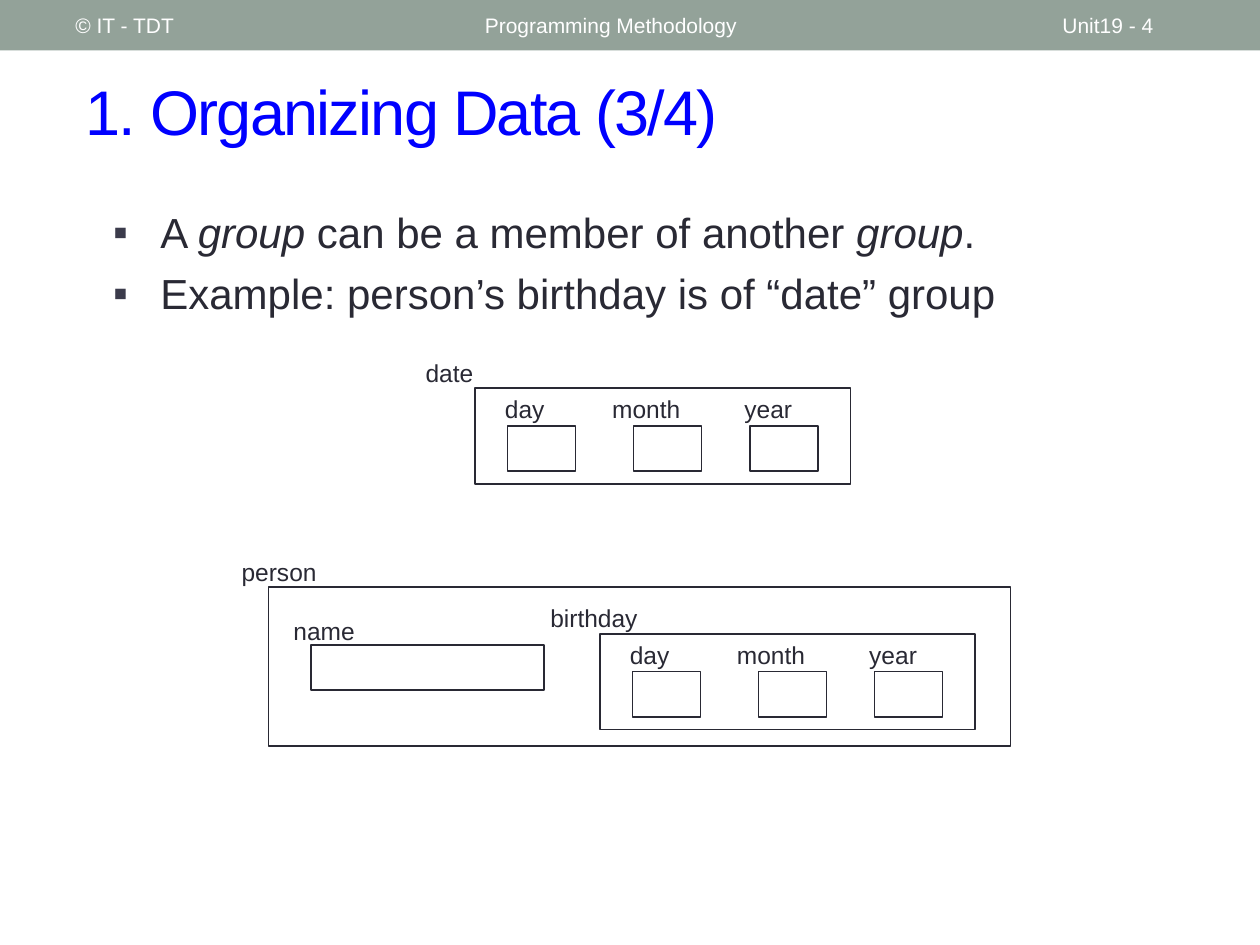
from lxml import etree
from pptx import Presentation
from pptx.dml.color import RGBColor
from pptx.enum import shapes, text
from pptx.oxml.ns import qn
from pptx.util import Pt

FONT = "Arial"
INK = "292934"
WHITE = "FFFFFF"
# Field name, label offset, label width, box offset inside a date record
DATE_FIELDS = [
    ("day", 10.1, 38.9, 18.7),
    ("month", 71.3, 58.3, 90.7),
    ("year", 146.9, 46.8, 157),
]
FIELD_HEIGHT = 25.9


def color(value):
    return RGBColor.from_string(value)


def apply_format(target, values):
    for name, value in values.items():
        setattr(target, name, value)


def add_span(para, words, size, ink, italic=False):
    span = para.add_run()
    span.text = words
    apply_format(span.font, {"name": FONT, "size": Pt(size), "italic": italic})
    span.font.color.rgb = color(ink)
    return span


def add_frame(parent, left, top, width, height):
    box = parent.add_textbox(Pt(left), Pt(top), Pt(width), Pt(height))
    box.text_frame.word_wrap = True
    return box.text_frame


def add_line_text(parent, words, left, top, width, height, size, ink):
    """One line of text, centred vertically in its box."""
    frame = add_frame(parent, left, top, width, height)
    frame.vertical_anchor = text.MSO_ANCHOR.MIDDLE
    return add_span(frame.paragraphs[0], words, size, ink)


def add_label(parent, words, left, top, width):
    frame = add_frame(parent, left, top, width, 24.5)
    add_span(frame.paragraphs[0], words, 14, INK)


def add_rectangle(parent, left, top, width, height, fill=None):
    box = parent.add_shape(shapes.MSO_SHAPE.RECTANGLE,
                           Pt(left), Pt(top), Pt(width), Pt(height))
    box.shadow.inherit = False
    if fill:
        box.fill.solid()
        box.fill.fore_color.rgb = color(fill)
        box.line.fill.background()
    else:
        box.fill.background()
        box.line.color.rgb = color(INK)
        box.line.width = Pt(1)


def add_bullet(para):
    props = para._p.get_or_add_pPr()
    props.set("marL", str(Pt(27)))
    props.set("indent", str(-Pt(27)))
    tint = etree.SubElement(props, qn("a:buClr"))
    etree.SubElement(tint, qn("a:srgbClr"), val="3B3B4B")
    etree.SubElement(props, qn("a:buFont"), typeface=FONT)
    etree.SubElement(props, qn("a:buChar"), char="▪")


def add_bullets(parent, items):
    frame = add_frame(parent, 57.6, 114.5, 617, 72)
    for index, spans in enumerate(items):
        para = frame.add_paragraph() if index else frame.paragraphs[0]
        add_bullet(para)
        if index:
            para.space_before = Pt(6)
        for words, italic in spans:
            add_span(para, words, 24, INK, italic)


def add_date_record(parent, name, name_offset, name_width, left, top):
    """A date group: its name above a frame holding three fields."""
    add_label(parent, name, left - name_offset, top - 20.9, name_width)
    add_rectangle(parent, left, top, 214.6, 54.7)
    for field, label_offset, label_width, box_offset in DATE_FIELDS:
        add_label(parent, field, left + label_offset, top, label_width)
        add_rectangle(parent, left + box_offset, top + 21.6, 38.9, FIELD_HEIGHT)


def main():
    deck = Presentation()
    deck.slide_width, deck.slide_height = Pt(720), Pt(540)
    page = deck.slides.add_slide(deck.slide_layouts[6])
    items = page.shapes

    # Header band
    add_rectangle(items, 0, 0, 720, 28.8, "93A299")
    for words, left, width in [("© IT - TDT", 36, 228),
                               ("Programming Methodology", 270, 324),
                               ("Unit19 - 4", 600, 84)]:
        add_line_text(items, words, left, 1.4, width, 26, 12, WHITE)

    # Title, with slightly tightened letters
    title = add_line_text(items, "1. Organizing Data (3/4)",
                          41.8, 30.2, 660, 66.2, 36, "0000FF")
    title.font._element.set("spc", "-100")

    # Bullets
    add_bullets(items, [
        [("A ", False), ("group ", True),
         ("can be a member of another ", False), ("group", True), (".", False)],
        [("Example: person’s birthday is of “date” group", False)],
    ])

    # Date group
    date = items.add_group_shape().shapes
    add_date_record(date, "date", 35.3, 49, 271.4, 221.8)

    # Person group, with a date group as one member
    person = items.add_group_shape().shapes
    add_label(person, "person", 131, 314.6, 79.2)
    add_rectangle(person, 153.4, 335.5, 424.1, 90.7)
    add_label(person, "name", 160.6, 348.5, 65.5)
    add_rectangle(person, 177.8, 368.6, 133.2, FIELD_HEIGHT)
    add_date_record(person, "birthday", 35.3, 103.7, 342.7, 362.2)

    deck.save("out.pptx")


if __name__ == "__main__":
    main()
